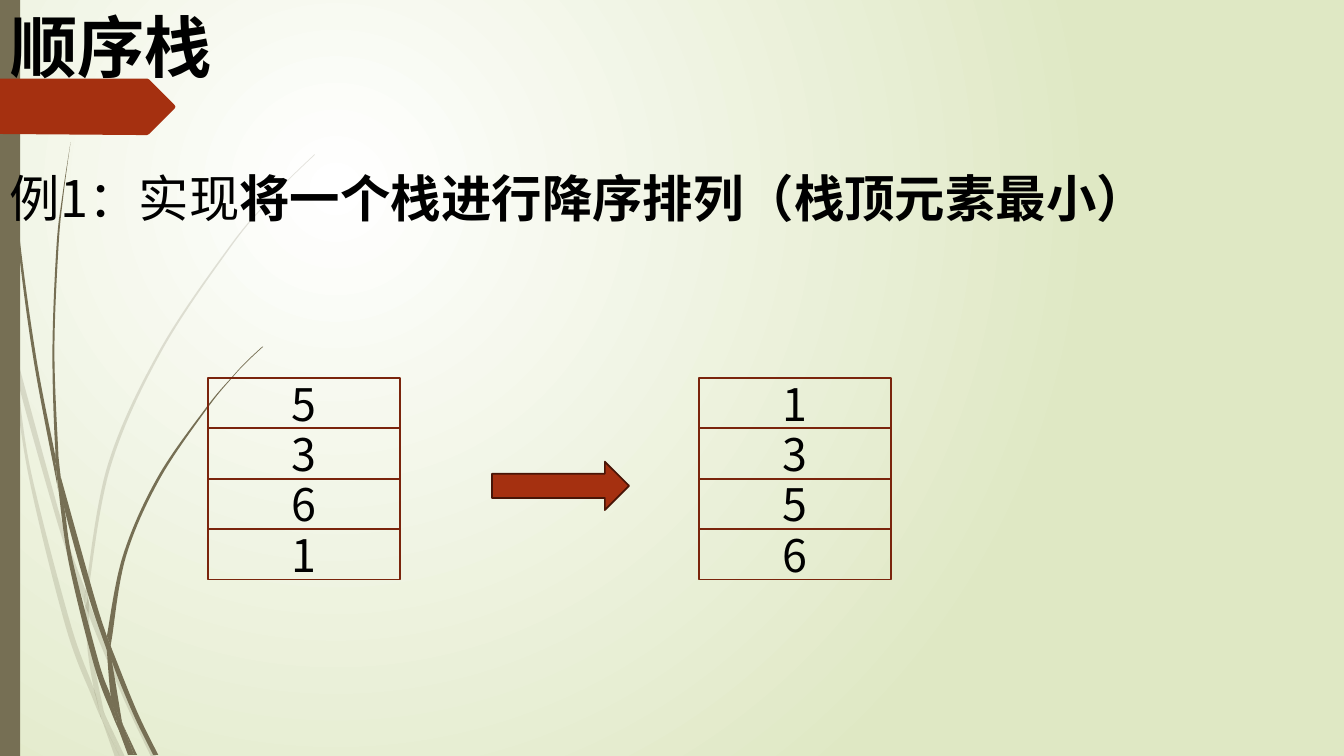
from lxml.etree import SubElement as Sub
from pptx import Presentation
from pptx.dml.color import RGBColor as RGB
from pptx.enum.shapes import MSO_SHAPE as Kind
from pptx.enum.text import MSO_ANCHOR as Anchor, MSO_AUTO_SIZE as Auto, PP_ALIGN as Align
from pptx.oxml.ns import qn
from pptx.util import Inches, Pt

FONT = "Noto Sans CJK SC"
HEX = {"ink": "000000", "grass": "766F54", "rust": "A53010", "edge": "7A240C",
       "dark": "481507", "pale": "FFFFFF", "lime": "DFE8C4"}
FLAG = [(0, 0.78), (1.46, 0.78), (1.48, 0.79), (1.73, 1.04), (1.74, 1.06), (1.73, 1.08),
        (1.48, 1.33), (1.46, 1.34), (1.36, 1.34), (0, 1.33)]
FAINT = [
    ([(0.11, 3.5), (0.09, 3.22), (0, 2.82)], [(0, 2.99), (0.1, 3.44)]),
    ([(0.14, 3.45), (0.17, 3.76), (0.58, 5.22), (0.84, 5.99)],
     [(0.85, 5.86), (0.62, 5.2), (0.14, 3.45)]),
    ([(0.88, 5.96), (0.88, 6.1), (1.23, 6.94), (1.5, 7.51)],
     [(1.55, 7.51), (1.27, 6.92), (0.92, 6.07), (0.88, 5.96)]),
    ([(1.05, 7.11), (1.19, 7.51)], [(1.24, 7.51), (1.05, 7.11)]),
    ([(0.11, 3.5), (0.28, 4.7), (0.65, 6.21), (0.92, 6.93), (1.01, 7.14)],
     [(0.99, 7.07), (0.93, 6.83), (0.7, 6.19), (0.31, 4.69), (0.17, 3.76), (0.11, 3.5)]),
    ([(0.84, 5.99), (0.87, 6.46), (0.93, 6.83), (0.96, 6.92), (1.05, 7.11)],
     [(1.03, 7.06), (0.91, 6.46), (0.88, 6.1), (0.84, 5.99)]),
    ([(3.12, 1.53), (2.89, 1.75), (2.68, 1.97), (2.28, 2.44), (1.58, 3.48), (1.07, 4.61),
      (0.85, 5.84), (0.85, 5.86)],
     [(0.88, 5.96), (0.88, 5.84), (1.1, 4.62), (1.6, 3.49), (2.29, 2.45), (2.68, 1.98),
      (2.9, 1.75), (3.12, 1.54)]),
    ([(1.01, 7.14), (1.14, 7.51)], [(1.19, 7.51), (1.01, 7.14)]),
    ([(0.85, 5.86), (0.84, 5.99), (0.88, 6.08)], [(0.88, 6.1), (0.88, 5.96), (0.85, 5.86)]),
    ([(0.93, 6.83), (0.99, 7.07), (1.01, 7.14), (1.19, 7.51)],
     [(1.05, 7.11), (0.96, 6.92), (0.93, 6.83)]),
]
SOLID = [
    ([(0.03, 0), (0.04, 0.48), (0.07, 1.1), (0.17, 2.33), (0.33, 3.55), (0.56, 4.77),
      (0.57, 4.81)],
     [(0.55, 4.57), (0.55, 4.53), (0.36, 3.55), (0.19, 2.32), (0.08, 1.09), (0.05, 0.48),
      (0.04, 0)]),
    ([(0.6, 4.72), (0.64, 5.05), (0.88, 5.92), (1.06, 6.45)],
     [(1.06, 6.31), (0.93, 5.9), (0.6, 4.72)]),
    ([(1.1, 6.41), (1.11, 6.56), (1.32, 7.08), (1.52, 7.49)],
     [(1.57, 7.49), (1.36, 7.06), (1.13, 6.49), (1.1, 6.41)]),
    ([(0.57, 4.77), (0.68, 5.57), (0.93, 6.59), (1.11, 7.08), (1.17, 7.22)],
     [(1.16, 7.17), (1.1, 6.91), (0.98, 6.57), (0.72, 5.56), (0.64, 5.05), (0.57, 4.77)]),
    ([(0.7, 1.41), (0.62, 1.93), (0.56, 2.45), (0.52, 3.49), (0.55, 4.49), (0.6, 4.72)],
     [(0.58, 4.53), (0.54, 3.49), (0.58, 2.45), (0.63, 1.93), (0.7, 1.41)]),
    ([(1.22, 7.19), (1.33, 7.49)], [(1.36, 7.49), (1.22, 7.19)]),
    ([(0.55, 4.49), (0.55, 4.53), (0.57, 4.77), (0.64, 5.05)], [(0.6, 4.72), (0.55, 4.49)]),
    ([(2.6, 3.44), (2.45, 3.58), (2.31, 3.73), (2.04, 4.05), (1.56, 4.74), (1.22, 5.51),
      (1.06, 6.31)],
     [(1.1, 6.41), (1.11, 6.33), (1.25, 5.52), (1.58, 4.76), (2.05, 4.06), (2.31, 3.74),
      (2.45, 3.59), (2.61, 3.44)]),
    ([(1.17, 7.22), (1.27, 7.49)], [(1.31, 7.49), (1.17, 7.22)]),
    ([(1.06, 6.45), (1.1, 6.91), (1.16, 7.06), (1.22, 7.19)],
     [(1.21, 7.16), (1.11, 6.56), (1.09, 6.51), (1.06, 6.45)]),
    ([(1.06, 6.31), (1.06, 6.45), (1.11, 6.56)], [(1.1, 6.41), (1.06, 6.31)]),
    ([(1.1, 6.91), (1.16, 7.17), (1.17, 7.22), (1.3, 7.49)],
     [(1.33, 7.49), (1.22, 7.19), (1.16, 7.06), (1.1, 6.91)]),
]


def color(name):
    return RGB.from_string(HEX[name])


def paint(shape, fill=None, line=None):
    shape.shadow.inherit = False
    if fill:
        shape.fill.solid()
        shape.fill.fore_color.rgb = color(fill)
    else:
        shape.fill.background()
    if line:
        shape.line.color.rgb = color(line)
        shape.line.width = Pt(1.25)
    else:
        shape.line.fill.background()


def block(slide, kind, box, fill=None, line=None):
    shape = slide.shapes.add_shape(kind, *map(Inches, box))
    paint(shape, fill, line)


def write(shape, runs, size, align=Align.LEFT, anchor=Anchor.TOP):
    frame = shape.text_frame
    form = {"word_wrap": True, "auto_size": Auto.NONE, "vertical_anchor": anchor}
    for key, value in form.items():
        setattr(frame, key, value)
    para = frame.paragraphs[0]
    para.alignment = align
    for text, bold in runs:
        run = para.add_run()
        run.text = text
        look = {"name": FONT, "size": Pt(size), "bold": bold}
        for key, value in look.items():
            setattr(run.font, key, value)
        run.font.color.rgb = color("ink")
        Sub(run.font._element, qn("a:ea"), typeface=FONT)


def outline(slide, knots, fill):
    dots = [(Inches(x), Inches(y)) for x, y in knots]
    pen = slide.shapes.build_freeform(*dots[0])
    pen.add_line_segments(dots[1:])
    shape = pen.convert_to_shape()
    paint(shape, fill)
    return shape


def bend(lines, start):
    spots = [(int(node[0].get("x")), int(node[0].get("y"))) for node in [start, *lines]]
    ends = [spots[0], *spots, spots[-1]]
    for node, a, b, c, d in zip(lines, ends, ends[1:], ends[2:], ends[3:]):
        node.tag = qn("a:cubicBezTo")
        node.remove(node[0])
        near = [q + (r - p) / 6 for p, q, r in zip(a, b, c)]
        far = [q - (r - p) / 6 for p, q, r in zip(b, c, d)]
        for x, y in (near, far, c):
            Sub(node, qn("a:pt"), x=str(round(x)), y=str(round(y)))


def blade(slide, left, right, alpha=None):
    shape = outline(slide, left + right, "grass")
    props = shape._element.spPr
    nodes = list(props.find(".//" + qn("a:path")))
    half, last = len(left), len(left) + len(right)
    bend(nodes[half + 1:last], nodes[half])
    bend(nodes[1:half], nodes[0])
    if alpha:
        Sub(props.find(qn("a:solidFill"))[0], qn("a:alpha"), val=str(alpha * 1000))


def backdrop(slide):
    fill = slide.background.fill
    fill.gradient()
    for stop, name in zip(fill.gradient_stops, ("pale", "lime")):
        stop.color.rgb = color(name)
    grad = slide._element.find(".//" + qn("a:gradFill"))
    grad.remove(grad.find(qn("a:lin")))
    ring = Sub(grad, qn("a:path"), {"path": "circle"})
    Sub(ring, qn("a:fillToRect"), l="50000", t="50000", r="100000", b="100000")


def stack(slide, left, items):
    top, width, height = 3.75, 1.91, 0.5
    for row, item in enumerate(items):
        box = (left, top + row * height, width, height)
        block(slide, Kind.RECTANGLE, box, line="edge")
        write(slide.shapes[-1], [(item, False)], 32, Align.CENTER, Anchor.MIDDLE)


def heading(slide, text):
    title = slide.shapes.title
    spot = {"left": 0, "top": 0, "width": 11.79, "height": 0.91}
    for key, value in spot.items():
        setattr(title, key, Inches(value))
    write(title, [(text, True)], 48)
    slide.shapes._spTree.append(title._element)


def main():
    deck = Presentation()
    deck.slide_width, deck.slide_height = Inches(13.33), Inches(7.5)
    slide = deck.slides.add_slide(deck.slide_layouts[5])
    backdrop(slide)
    for left, right in FAINT:
        blade(slide, left, right, 20)
    for left, right in SOLID:
        blade(slide, left, right)
    block(slide, Kind.RECTANGLE, (0, 0, 0.2, 7.5), "grass")
    outline(slide, FLAG, "rust")
    task = slide.shapes.add_textbox(*map(Inches, (0, 1.61, 12.12, 0.71)))
    write(task, [("例1：实现", False), ("将一个栈进行降序排列（栈顶元素最小）", True)], 36)
    heading(slide, "顺序栈")
    stack(slide, 2.06, "5361")
    stack(slide, 6.93, "1356")
    block(slide, Kind.RIGHT_ARROW, (4.88, 4.58, 1.36, 0.48), "rust", "dark")
    deck.save("out.pptx")


if __name__ == "__main__":
    main()
